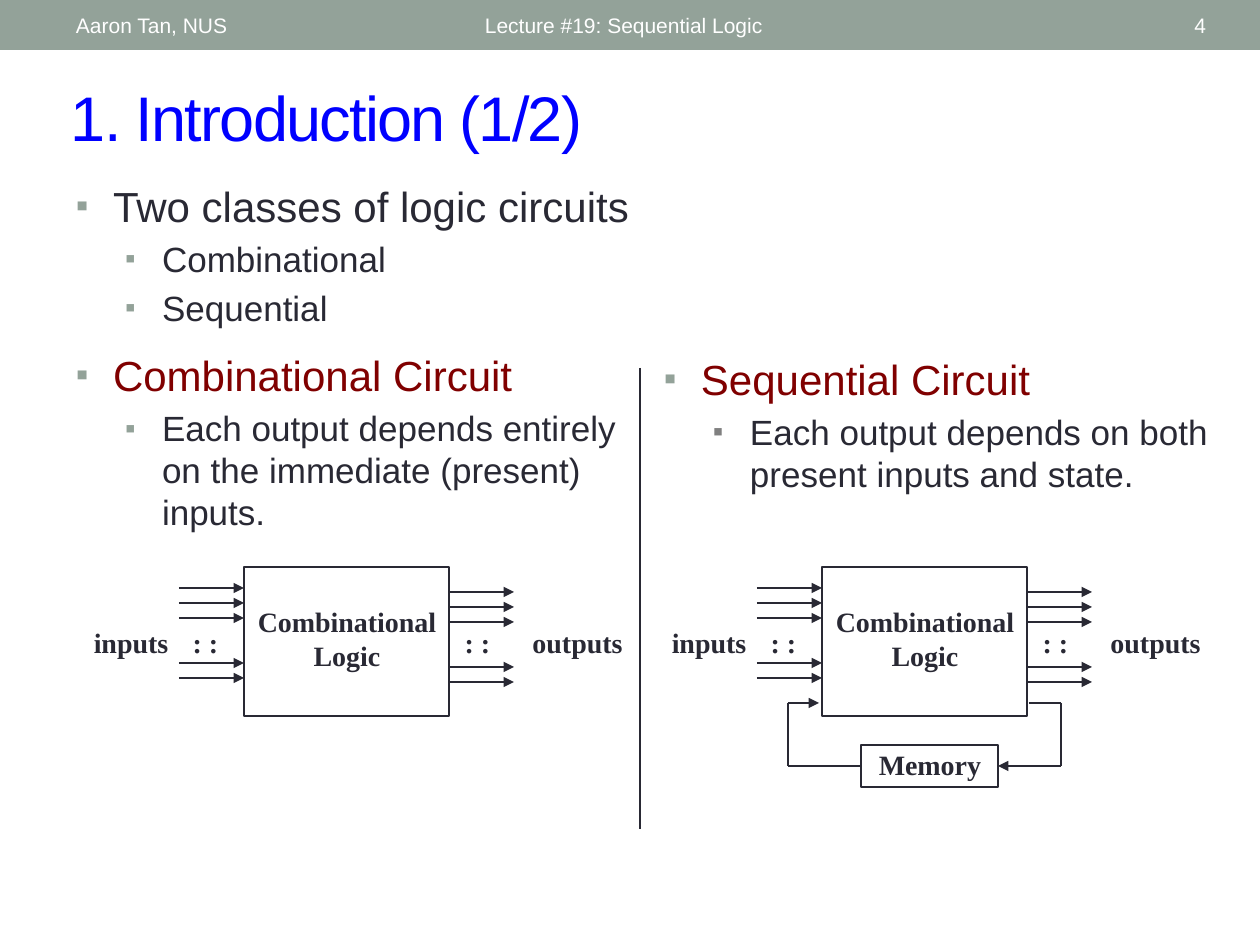
from lxml.etree import SubElement
from pptx import Presentation
from pptx.dml.color import RGBColor
from pptx.enum.shapes import MSO_CONNECTOR, MSO_SHAPE
from pptx.enum.text import MSO_ANCHOR, PP_ALIGN
from pptx.oxml.ns import qn
from pptx.util import Emu, Pt

SAGE, INK, MAROON, GRAY = "93A299", "292934", "800000", "808080"
BLUE, WHITE = "0000FF", "FFFFFF"
SIZES = (24, 20)
INDENTS = ((37, -37), (86, -37))

HEADER = [
    ("Lecture #19: Sequential Logic", (472, 2, 567, 46), PP_ALIGN.LEFT),
    ("4", (1099, 2, 120, 46), PP_ALIGN.RIGHT),
    ("Aaron Tan, NUS", (63, 2, 399, 46), PP_ALIGN.LEFT),
]
LEFT_BULLETS = [
    (0, "Two classes of logic circuits", INK, 0.2, SAGE),
    (1, "Combinational", INK, 0.2, SAGE),
    (1, "Sequential", INK, 0.2, SAGE),
    (0, "Combinational Circuit", MAROON, 0.5, SAGE),
    (1, "Each output depends entirely on the immediate (present) inputs.", INK, 0.2, SAGE),
]
RIGHT_BULLETS = [
    (0, "Sequential Circuit", MAROON, 0.5, SAGE),
    (1, "Each output depends on both present inputs and state.", INK, 0.2, GRAY),
]
LOGIC_LABELS = [
    (["Combinational", "Logic"], (242, 599, 210, 81), 13),
    ([": :"], (179, 620, 53, 47), 13),
    (["inputs"], (84, 620, 94, 47), 1),
    (["outputs"], (525, 620, 105, 47), 1),
    ([": :"], (451, 620, 53, 47), 13),
]
LOGIC_BOX = (244, 567, 205, 149)
WIRE_TOP, WIRE_GAP, WIRE_SLOTS = 588, 15, (0, 1, 2, 5, 6)
WIRE_LENGTH, OUTPUT_DROP = 65, 4
CIRCUIT_SHIFT = 578
MEMORY_BOX = (861, 745, 137, 42)
FEEDBACK = [
    [(1029, 703), (1061, 703), (1061, 766), (998, 766)],
    [(861, 766), (788, 766), (788, 703), (819, 703)],
]


def px(value):
    return Emu(round(value * 914400 / 126))


def color(value):
    return RGBColor.from_string(value)


def add_text(shapes, box, lines, size=16, font="Arial", fill=INK, bold=False,
             align=PP_ALIGN.LEFT, anchor=MSO_ANCHOR.TOP, inset=13, vertical_inset=6, tracking=None):
    shape = shapes.add_textbox(*map(px, box))
    frame = shape.text_frame
    frame.word_wrap = True
    frame.vertical_anchor = anchor
    frame.margin_left = frame.margin_right = px(inset)
    frame.margin_top = frame.margin_bottom = px(vertical_inset)
    for index, line in enumerate(lines):
        paragraph = frame.paragraphs[0] if index == 0 else frame.add_paragraph()
        paragraph.alignment = align
        run = paragraph.add_run()
        run.text = line
        run.font.size, run.font.name, run.font.bold = Pt(size), font, bold
        run.font.color.rgb = color(fill)
        if tracking:
            run.font._element.set("spc", str(tracking))
    return shape


def add_bullets(shapes, box, items):
    shape = add_text(shapes, box, [item[1] for item in items])
    for paragraph, (level, _, fill, spacing, bullet_fill) in zip(shape.text_frame.paragraphs, items):
        size = SIZES[level]
        paragraph.level = level
        paragraph.space_before = Pt(size * spacing)
        font = paragraph.runs[0].font
        font.size = Pt(size)
        font.color.rgb = color(fill)
        properties = paragraph._p.get_or_add_pPr()
        margin, indent = INDENTS[level]
        properties.set("marL", str(px(margin)))
        properties.set("indent", str(px(indent)))
        bullet_color = SubElement(properties, qn("a:buClr"))
        SubElement(bullet_color, qn("a:srgbClr"), val=bullet_fill)
        SubElement(properties, qn("a:buSzPct"), val="85000")
        SubElement(properties, qn("a:buFont"), typeface="Arial")
        SubElement(properties, qn("a:buChar"), char="▪")


def add_box(shapes, box, fill=None, line=None):
    shape = shapes.add_shape(MSO_SHAPE.RECTANGLE, *map(px, box))
    shape.shadow.inherit = False
    if fill:
        shape.fill.solid()
        shape.fill.fore_color.rgb = color(fill)
    else:
        shape.fill.background()
    if line:
        shape.line.color.rgb = color(line)
        shape.line.width = Pt(1.5)
    else:
        shape.line.fill.background()


def add_line(shapes, start, end, width=1.25, arrow=False):
    connector = shapes.add_connector(MSO_CONNECTOR.STRAIGHT, *map(px, start + end))
    connector.line.color.rgb = color(INK)
    connector.line.width = Pt(width)
    if arrow:
        SubElement(connector.line._get_or_add_ln(), qn("a:tailEnd"), type="triangle")
    SubElement(connector._element.spPr, qn("a:effectLst"))


def add_label(shapes, box, lines, inset, vertical_inset=6):
    add_text(shapes, box, lines, font="Times New Roman", bold=True,
             align=PP_ALIGN.CENTER, inset=inset, vertical_inset=vertical_inset)


def add_logic(shapes, shift):
    left, top, width, height = LOGIC_BOX
    left += shift
    for lines, (x, y, w, h), inset in LOGIC_LABELS:
        add_label(shapes, (x + shift, y, w, h), lines, inset)
    add_box(shapes, (left, top, width, height), line=INK)
    for x, drop in ((left - WIRE_LENGTH, 0), (left + width, OUTPUT_DROP)):
        for slot in WIRE_SLOTS:
            y = WIRE_TOP + drop + slot * WIRE_GAP
            add_line(shapes, (x, y), (x + WIRE_LENGTH, y), arrow=True)


def add_memory(shapes):
    add_box(shapes, MEMORY_BOX, line=INK)
    add_label(shapes, (872, 747, 116, 37), ["Memory"], 1, 1)
    for points in FEEDBACK:
        for index, (start, end) in enumerate(zip(points, points[1:])):
            add_line(shapes, start, end, width=1.5, arrow=index == len(points) - 2)


def main():
    presentation = Presentation()
    presentation.slide_width, presentation.slide_height = px(1260), px(945)
    slide = presentation.slides.add_slide(presentation.slide_layouts[6])
    shapes = slide.shapes
    add_box(shapes, (0, 0, 1260, 50), fill=SAGE)
    add_text(shapes, (58, 72, 1143, 88), ["1. Introduction (1/2)"], size=36, fill=BLUE,
             anchor=MSO_ANCHOR.MIDDLE, tracking=-100)
    for text, box, align in HEADER:
        add_text(shapes, box, [text], size=12, fill=WHITE, align=align, anchor=MSO_ANCHOR.MIDDLE)
    add_bullets(shapes, (63, 174, 609, 677), LEFT_BULLETS)
    add_logic(shapes.add_group_shape().shapes, 0)
    add_bullets(shapes, (651, 347, 588, 210), RIGHT_BULLETS)
    add_line(shapes, (640, 368), (640, 829), width=0.75)
    sequential = shapes.add_group_shape().shapes
    add_logic(sequential, CIRCUIT_SHIFT)
    add_memory(sequential)
    presentation.save("out.pptx")


if __name__ == "__main__":
    main()
